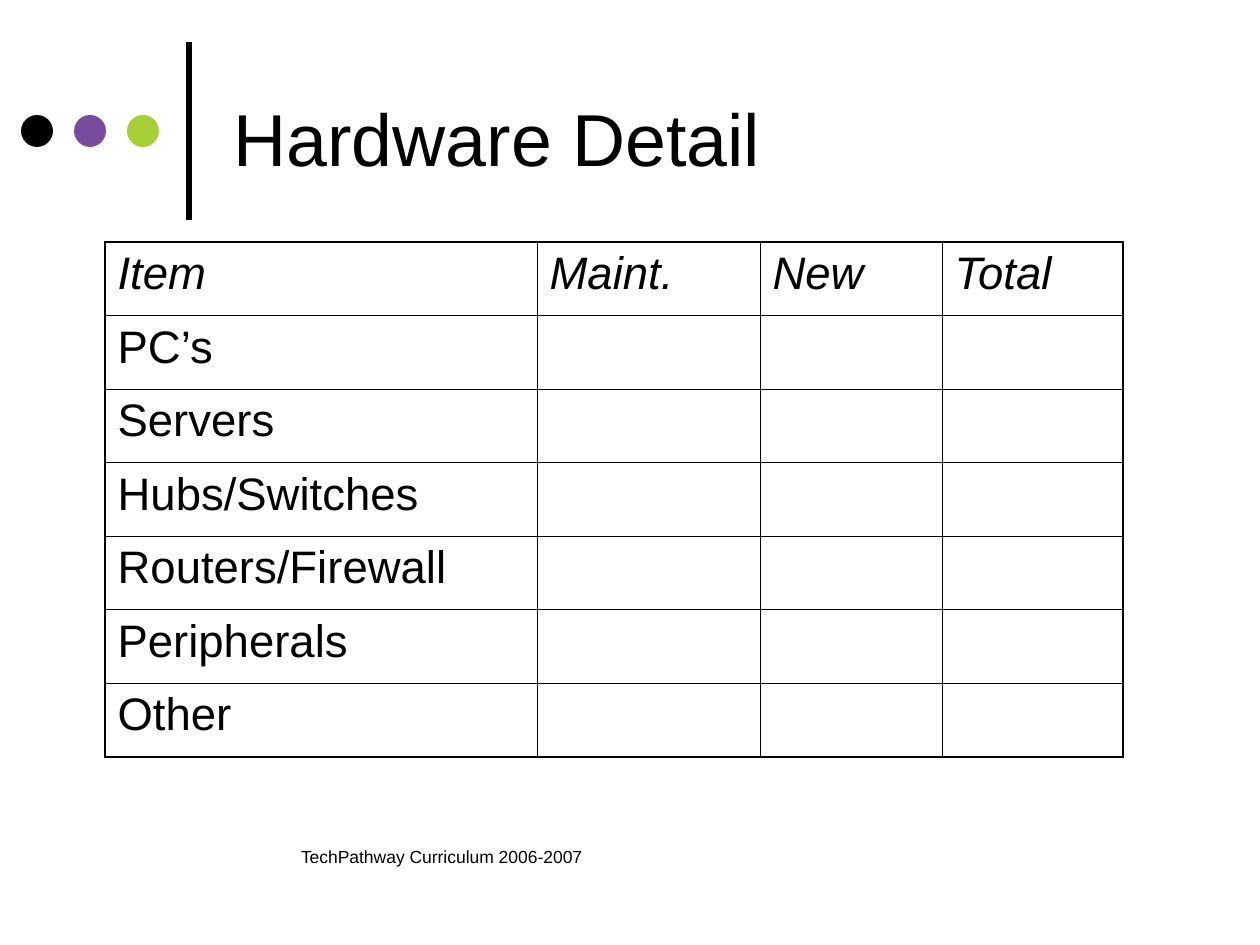
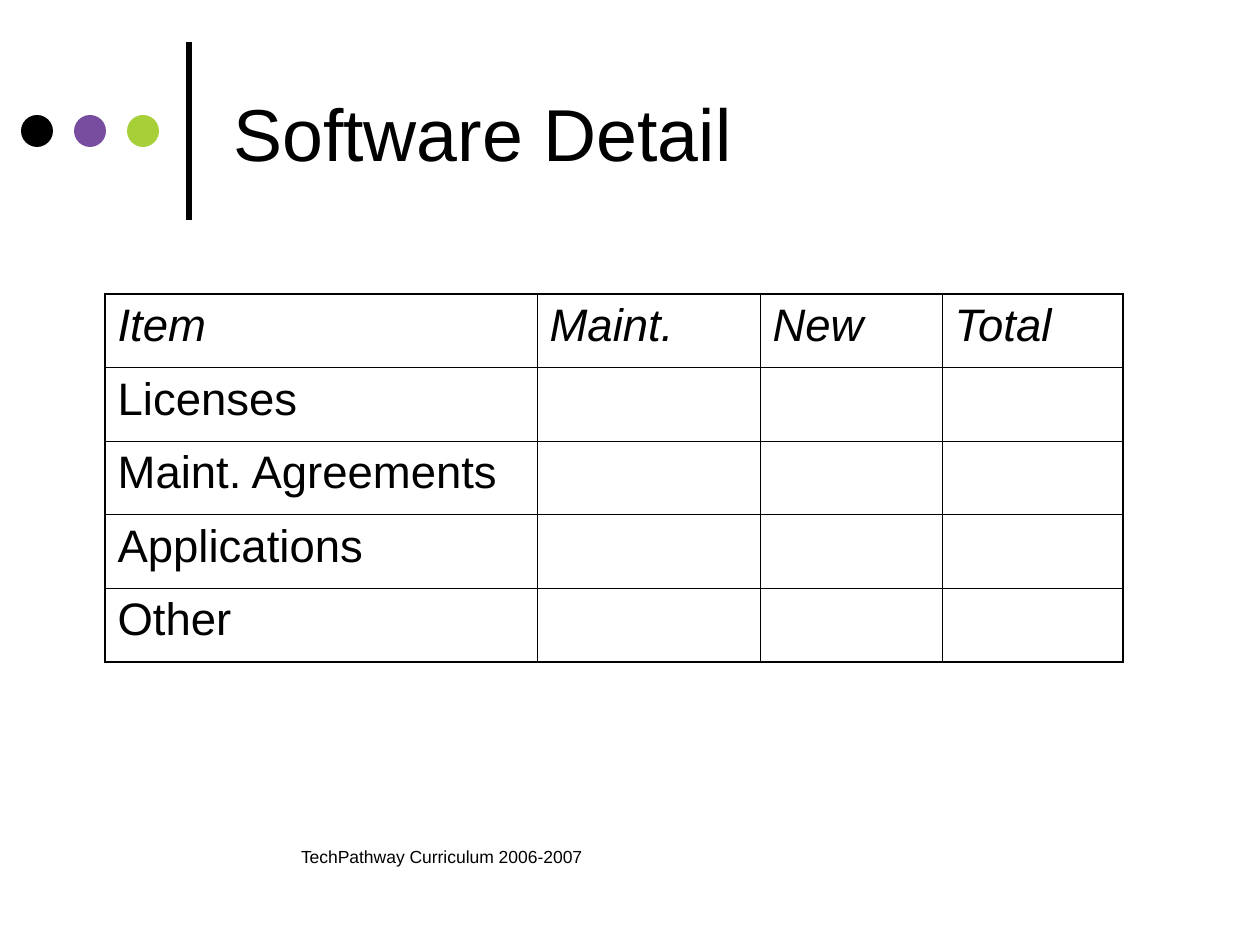
from dataclasses import dataclass

import pptx
import pptx.dml.color
import pptx.enum.shapes
import pptx.enum.text
import pptx.oxml
import pptx.oxml.ns
import pptx.util

EMU_PER_PX = 914400 / 126
FONT = "Arial"
BLACK, PURPLE, GREEN = "000000", "784C9F", "A7CF38"
THIN, THICK = 0.45, 1.08

TITLE_FORMAT = {"size": pptx.util.Pt(42), "name": FONT}
FOOTER_FORMAT = {"size": pptx.util.Pt(10), "name": FONT}
ITEM_FORMAT = {"size": pptx.util.Pt(26), "name": FONT, "italic": False}
HEADING_FORMAT = ITEM_FORMAT | {"italic": True}

FOOTER = "TechPathway Curriculum 2006-2007"
HEADINGS = ["Item", "Maint.", "New", "Total"]
COLUMN_WIDTHS = [432, 223, 182, 181]


@dataclass(frozen=True)
class Box:
    left: int
    top: int
    width: int
    height: int

    def emu(self) -> list[int]:
        return [px(n) for n in (self.left, self.top, self.width, self.height)]


@dataclass(frozen=True)
class DetailSlide:
    title: str
    title_box: Box
    table_box: Box
    items: list[str]


DETAILS = [
    DetailSlide("Hardware Detail", Box(221, 32, 966, 210), Box(105, 242, 1018, 515),
                ["PC’s", "Servers", "Hubs/Switches", "Routers/Firewall",
                 "Peripherals", "Other"]),
    DetailSlide("Software Detail", Box(221, 53, 955, 158), Box(105, 294, 1018, 368),
                ["Licenses", "Maint. Agreements", "Applications", "Other"]),
]


def px(length: int) -> int:
    return round(length * EMU_PER_PX)


def colour(hex_value: str) -> pptx.dml.color.RGBColor:
    return pptx.dml.color.RGBColor.from_string(hex_value)


def write(paragraph, text: str, font_format: dict) -> None:
    run = paragraph.add_run()
    run.text = text
    for attribute, value in font_format.items():
        setattr(run.font, attribute, value)
    run.font.color.rgb = colour(BLACK)


def add_text(slide, box: Box, text: str, font_format: dict, anchor, alignment) -> None:
    frame = slide.shapes.add_textbox(*box.emu()).text_frame
    frame.word_wrap = True
    frame.vertical_anchor = anchor
    frame.paragraphs[0].alignment = alignment
    write(frame.paragraphs[0], text, font_format)


def add_masthead(slide) -> None:
    # Vertical rule beside the title
    rule = slide.shapes.add_connector(
        pptx.enum.shapes.MSO_CONNECTOR.STRAIGHT, px(189), px(220), px(189), px(42))
    rule.line.color.rgb = colour(BLACK)
    rule.line.width = pptx.util.Pt(3)
    rule._element.spPr.append(pptx.oxml.parse_xml(
        f"<a:effectLst {pptx.oxml.ns.nsdecls('a')}/>"))

    # Row of three dots
    for index, fill in enumerate((BLACK, PURPLE, GREEN)):
        dot = slide.shapes.add_shape(
            pptx.enum.shapes.MSO_SHAPE.OVAL, *Box(21 + 53 * index, 115, 32, 32).emu())
        dot.shadow.inherit = False
        dot.fill.solid()
        dot.fill.fore_color.rgb = colour(fill)
        dot.line.fill.background()


def set_borders(cell, widths: dict[str, float]) -> None:
    properties = cell._tc.get_or_add_tcPr()
    for side, points in widths.items():
        properties.append(pptx.oxml.parse_xml(
            f"<a:ln{side} {pptx.oxml.ns.nsdecls('a')} w='{pptx.util.Pt(points)}'>"
            f"<a:solidFill><a:srgbClr val='{BLACK}'/></a:solidFill></a:ln{side}>"))


def add_budget_table(slide, box: Box, items: list[str]) -> None:
    rows = [HEADINGS] + [[item, "", "", ""] for item in items]
    last_row, last_column = len(rows) - 1, len(HEADINGS) - 1
    budget = slide.shapes.add_table(len(rows), len(HEADINGS), *box.emu()).table
    budget.first_row = budget.horz_banding = False
    for column, width in zip(budget.columns, COLUMN_WIDTHS):
        column.width = px(width)

    for r, row in enumerate(rows):
        for c, text in enumerate(row):
            cell = budget.cell(r, c)
            # Thick outer frame, thin inner grid
            set_borders(cell, {
                "L": THICK if c == 0 else THIN,
                "R": THICK if c == last_column else THIN,
                "T": THICK if r == 0 else THIN,
                "B": THICK if r == last_row else THIN,
            })
            cell.fill.background()
            if text:
                paragraph = cell.text_frame.paragraphs[0]
                paragraph.space_before = pptx.util.Pt(6.5)
                write(paragraph, text, ITEM_FORMAT if r else HEADING_FORMAT)


def add_detail_slide(deck, detail: DetailSlide) -> None:
    anchors, alignments = pptx.enum.text.MSO_ANCHOR, pptx.enum.text.PP_ALIGN
    slide = deck.slides.add_slide(deck.slide_layouts[6])
    add_masthead(slide)
    add_text(slide, detail.title_box, detail.title, TITLE_FORMAT,
             anchors.MIDDLE, alignments.LEFT)
    add_budget_table(slide, detail.table_box, detail.items)
    add_text(slide, Box(242, 840, 399, 63), FOOTER, FOOTER_FORMAT,
             anchors.TOP, alignments.CENTER)


def main() -> None:
    deck = pptx.Presentation()
    deck.slide_width, deck.slide_height = px(1260), px(945)
    for detail in DETAILS:
        add_detail_slide(deck, detail)
    deck.save("out.pptx")


if __name__ == "__main__":
    main()
